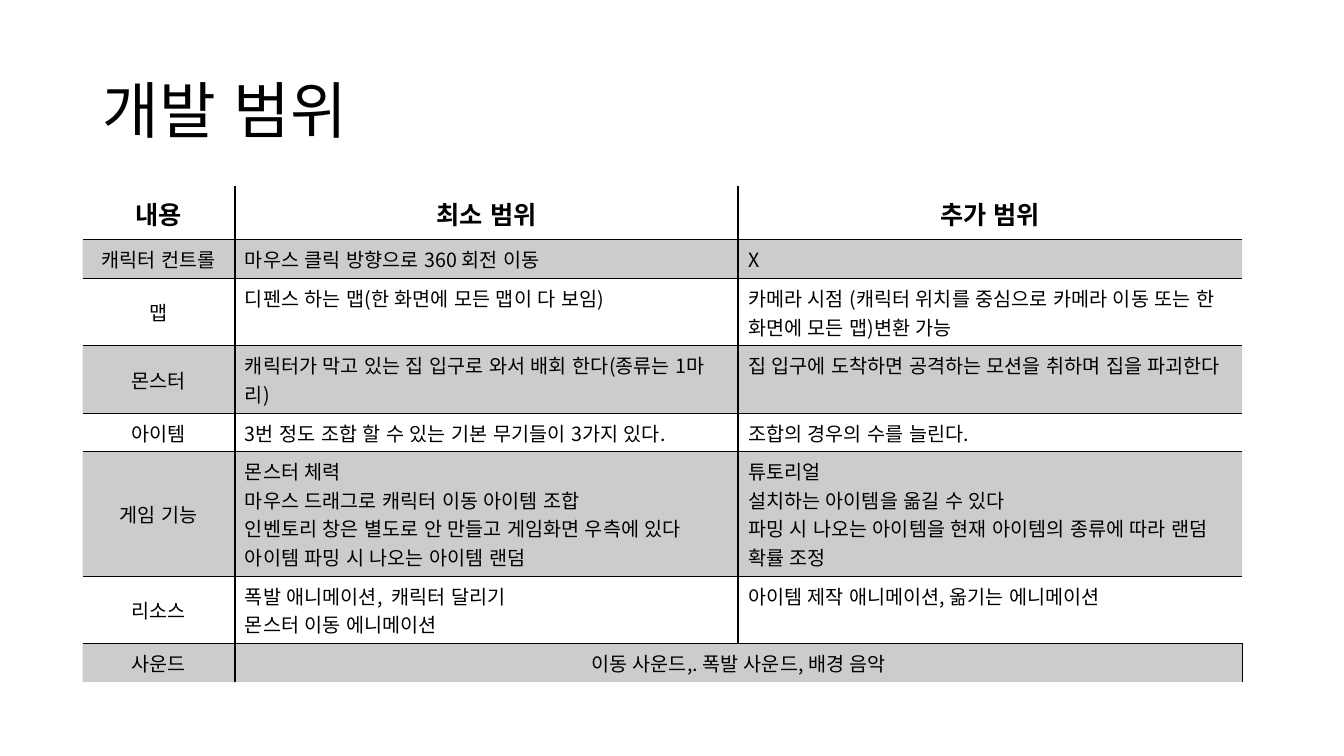
import dataclasses

import lxml.etree
import pptx
import pptx.dml.color
import pptx.enum.lang
import pptx.enum.text
import pptx.oxml.ns
import pptx.util

Inches = pptx.util.Inches
Align = pptx.enum.text.PP_ALIGN
Anchor = pptx.enum.text.MSO_ANCHOR
qn = pptx.oxml.ns.qn

COLUMN_WIDTHS = [1.51, 4.99, 5]
ROW_HEIGHTS = [0.53, 0.31, 0.53, 0.53, 0.31, 0.97, 0.31, 0.31]
SCOPE_ROWS = [
    [["내용"], ["최소 범위"], ["추가 범위"]],
    [["캐릭터 컨트롤"], ["마우스 클릭 방향으로 360 회전 이동"], ["X"]],
    [
        ["맵"],
        ["디펜스 하는 맵(한 화면에 모든 맵이 다 보임)"],
        ["카메라 시점 (캐릭터 위치를 중심으로 카메라 이동 또는 한 화면에 모든 맵)변환 가능"],
    ],
    [
        ["몬스터"],
        ["캐릭터가 막고 있는 집 입구로 와서 배회 한다(종류는 1마리)"],
        ["집 입구에 도착하면 공격하는 모션을 취하며 집을 파괴한다"],
    ],
    [
        ["아이템"],
        ["3번 정도 조합 할 수 있는 기본 무기들이 3가지 있다."],
        ["조합의 경우의 수를 늘린다."],
    ],
    [
        ["게임 기능"],
        [
            "몬스터 체력",
            "마우스 드래그로 캐릭터 이동 아이템 조합",
            "인벤토리 창은 별도로 안 만들고 게임화면 우측에 있다",
            "아이템 파밍 시 나오는 아이템 랜덤",
        ],
        [
            "튜토리얼",
            "설치하는 아이템을 옮길 수 있다",
            "파밍 시 나오는 아이템을 현재 아이템의 종류에 따라 랜덤 확률 조정",
        ],
    ],
    [
        ["리소스"],
        ["폭발 애니메이션,  캐릭터 달리기", "몬스터 이동 에니메이션"],
        ["아이템 제작 애니메이션, 옮기는 에니메이션"],
    ],
    [["사운드"], ["이동 사운드,. 폭발 사운드, 배경 음악"]],
]


@dataclasses.dataclass(frozen=True)
class Theme:
    """Colours, type sizes and table style of the slide."""

    font: str = "Noto Sans CJK KR"
    ink: str = "000000"
    band_alpha: int = 20
    title_size: int = 44
    header_size: int = 18
    body_size: int = 14
    border_width: int = 1
    table_style: str = "{2D5ABB26-0587-4C30-8999-92F81FD0307C}"


class SlideBuilder:
    """Adds styled elements to the current slide."""

    def __init__(self, slide, theme):
        """Keep the slide and its theme."""
        self.slide = slide
        self.theme = theme

    def add_run(self, paragraph, text, size, bold=False):
        """Append one styled run to a paragraph."""
        run = paragraph.add_run()
        run.text = text
        font = run.font
        font.name = self.theme.font
        font.size = pptx.util.Pt(size)
        font.bold = bold
        font.language_id = pptx.enum.lang.MSO_LANGUAGE_ID.KOREAN
        font.color.rgb = pptx.dml.color.RGBColor.from_string(self.theme.ink)
        properties = run.font._element
        lxml.etree.SubElement(properties, qn("a:ea"), typeface=self.theme.font)

    def add_title(self, text, left, top, width, height):
        """Place and fill the title placeholder."""
        title = self.slide.shapes.title
        title.left, title.top = Inches(left), Inches(top)
        title.width, title.height = Inches(width), Inches(height)
        frame = title.text_frame
        frame.word_wrap = True
        frame.auto_size = pptx.enum.text.MSO_AUTO_SIZE.NONE
        frame.vertical_anchor = Anchor.MIDDLE
        paragraph = frame.paragraphs[0]
        paragraph.alignment = Align.LEFT
        paragraph.line_spacing = 0.9
        self.add_run(paragraph, text, self.theme.title_size)

    def add_table(self, rows, column_widths, row_heights, left, top):
        """Add the table with its inner grid and shaded bands."""
        frame = self.slide.shapes.add_table(
            len(row_heights), len(column_widths), Inches(left), Inches(top),
            Inches(sum(column_widths)), Inches(sum(row_heights)))
        table = frame.table
        table.first_row = table.horz_banding = False
        table._tbl.tblPr.find(qn("a:tableStyleId")).text = self.theme.table_style
        for column, width in zip(table.columns, column_widths):
            column.width = Inches(width)
        for row, height in zip(table.rows, row_heights):
            row.height = Inches(height)
        last_row, last_column = len(row_heights) - 1, len(column_widths) - 1
        for row_index in range(last_row + 1):
            for column_index in range(last_column + 1):
                cell = table.cell(row_index, column_index)
                self.fill_cell(cell, shaded=row_index % 2 == 1)
                self.add_borders(cell, {
                    "lnL": column_index > 0,
                    "lnR": column_index < last_column,
                    "lnT": row_index > 0,
                    "lnB": row_index < last_row,
                })
        for row_index, row in enumerate(rows):
            for column_index, lines in enumerate(row):
                cell = table.cell(row_index, column_index)
                merged = column_index == len(row) - 1 < last_column
                if merged:
                    cell.merge(table.cell(row_index, last_column))
                header = row_index == 0
                label = header or column_index == 0
                self.write_cell(cell, lines, header, label, label or merged)

    def fill_cell(self, cell, shaded):
        """Shade a cell with translucent ink or leave it clear."""
        if not shaded:
            cell.fill.background()
            return
        cell.fill.solid()
        cell.fill.fore_color.rgb = pptx.dml.color.RGBColor.from_string(self.theme.ink)
        color = cell._tc.tcPr.find(".//" + qn("a:srgbClr"))
        lxml.etree.SubElement(color, qn("a:alpha"), val=str(self.theme.band_alpha * 1000))

    def add_borders(self, cell, sides):
        """Draw the chosen sides of a cell."""
        properties = cell._tc.get_or_add_tcPr()
        for position, (side, visible) in enumerate(sides.items()):
            width = pptx.util.Pt(self.theme.border_width)
            line = lxml.etree.Element(qn("a:" + side), w=str(int(width)))
            if visible:
                fill = lxml.etree.SubElement(line, qn("a:solidFill"))
                lxml.etree.SubElement(fill, qn("a:srgbClr"), val=self.theme.ink)
            else:
                lxml.etree.SubElement(line, qn("a:noFill"))
            properties.insert(position, line)

    def write_cell(self, cell, lines, header, label, centered):
        """Write one paragraph per line into a cell."""
        cell.vertical_anchor = Anchor.MIDDLE if label else Anchor.TOP
        size = self.theme.header_size if header else self.theme.body_size
        frame = cell.text_frame
        for index, line in enumerate(lines):
            paragraph = frame.add_paragraph() if index else frame.paragraphs[0]
            paragraph.alignment = Align.CENTER if centered else Align.LEFT
            self.add_run(paragraph, line, size, header)


def main():
    """Build and save the development scope slide."""
    presentation = pptx.Presentation()
    presentation.slide_width = Inches(13.33)
    presentation.slide_height = Inches(7.5)
    slide = presentation.slides.add_slide(presentation.slide_layouts[5])
    builder = SlideBuilder(slide, Theme())
    builder.add_title("개발 범위", 0.92, 0.4, 11.5, 1.45)
    builder.add_table(SCOPE_ROWS, COLUMN_WIDTHS, ROW_HEIGHTS, 0.82, 1.85)
    presentation.save("out.pptx")


if __name__ == "__main__":
    main()
